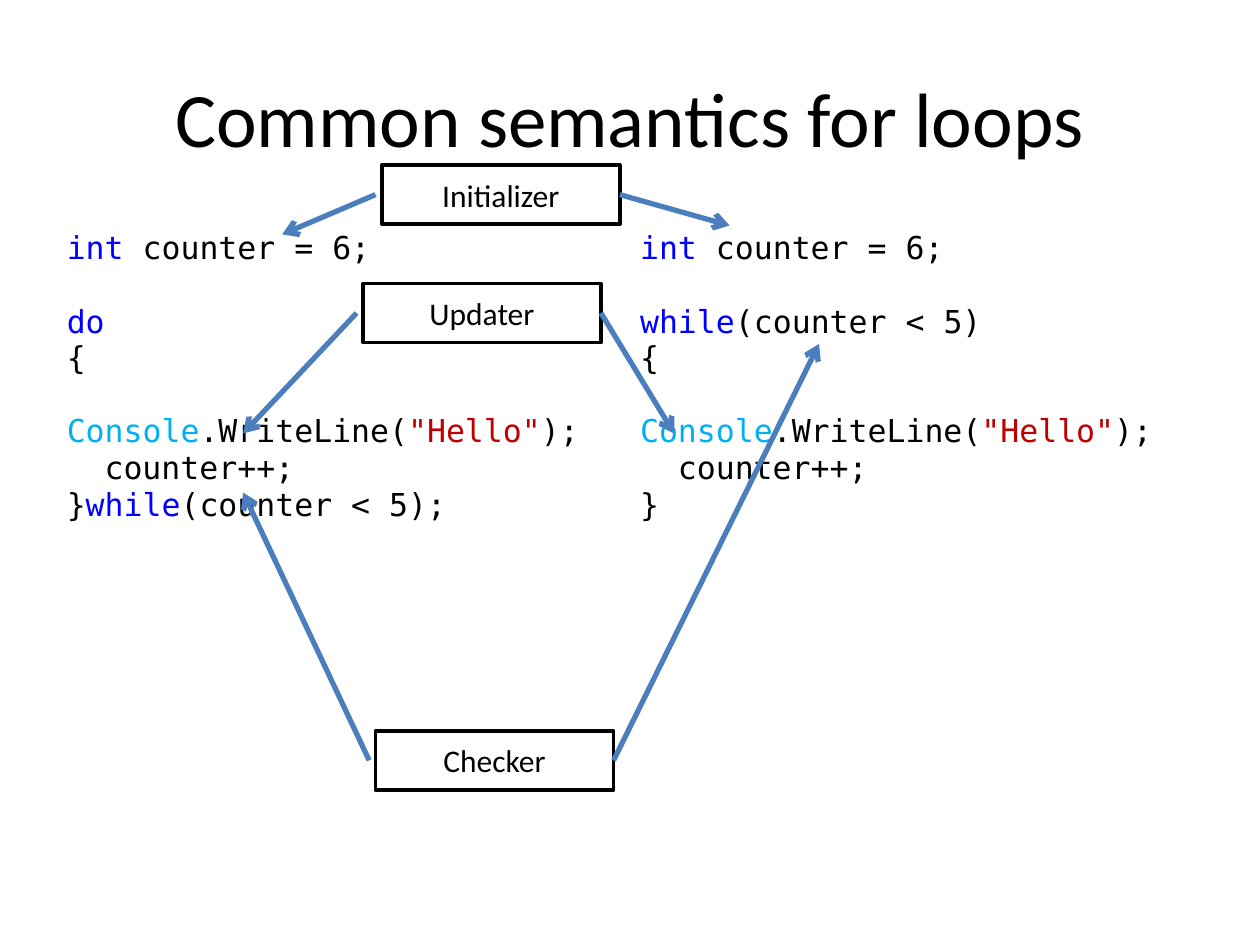
"""Builds a slide comparing the parts of do-while and while loops."""
from dataclasses import dataclass

from lxml import etree
from pptx import Presentation
from pptx.dml.color import RGBColor
from pptx.enum.shapes import MSO_CONNECTOR, MSO_SHAPE
from pptx.enum.text import MSO_ANCHOR, PP_ALIGN
from pptx.oxml.ns import qn
from pptx.util import Inches, Pt

RECTANGLE = MSO_SHAPE.RECTANGLE
STRAIGHT = MSO_CONNECTOR.STRAIGHT
CENTER = PP_ALIGN.CENTER
MIDDLE = MSO_ANCHOR.MIDDLE
RIGHT_SIDE = 3
TITLE_ONLY = 5

COLORS = {
    "plain": "000000",
    "keyword": "0000FF",
    "type": "00B0F0",
    "string": "C00000",
    "paper": "FFFFFF",
    "arrow": "4B7EBC",
}
BODY_FONT = "Calibri"
CODE_FONT = "DejaVu Sans Mono"
CODE_LINE = Pt(21)
CODE_INDENT = Inches(0.3)
LABEL_WIDTH, LABEL_HEIGHT = 1.89, 0.47
ARROW_GAP = 0.05


@dataclass(frozen=True)
class CodeLine:
    tokens: tuple[tuple[str, str], ...]
    gap_before: bool = False
    indented: bool = False


@dataclass(frozen=True)
class Label:
    name: str
    left: float
    top: float
    left_target: tuple[float, float]
    right_target: tuple[float, float]


DECLARATION = CodeLine((("int", "keyword"), (" counter = 6;", "plain")))
BODY = (
    CodeLine((("{", "plain"),)),
    CodeLine(
        (
            ("Console", "type"),
            (".WriteLine(", "plain"),
            ('"Hello"', "string"),
            (");", "plain"),
        ),
        gap_before=True,
    ),
    CodeLine((("counter++;", "plain"),), indented=True),
)
DO_LOOP = (
    DECLARATION,
    CodeLine((("do", "keyword"),), gap_before=True),
    *BODY,
    CodeLine((("}", "plain"), ("while", "keyword"), ("(counter < 5);", "plain"))),
)
WHILE_LOOP = (
    DECLARATION,
    CodeLine((("while", "keyword"), ("(counter < 5)", "plain")), gap_before=True),
    *BODY,
    CodeLine((("}", "plain"),)),
)
LABELS = (
    Label("Initializer", 3.03, 1.31, (2.24, 1.86), (5.79, 1.79)),
    Label("Checker", 2.98, 5.8, (1.93, 3.91), (6.5, 2.73)),
    Label("Updater", 2.88, 2.25, (1.93, 3.44), (5.35, 3.44)),
)


def color(name: str) -> RGBColor:
    return RGBColor.from_string(COLORS[name])


def format_font(font, family: str, size: float, color_name: str) -> None:
    font.name = family
    font.size = Pt(size)
    font.color.rgb = color(color_name)


def set_title(slide, text: str) -> None:
    title = slide.shapes.title
    title.left, title.top = Inches(0.5), Inches(0.3)
    title.width, title.height = Inches(9), Inches(1.25)
    title.text_frame.text = text
    title.text_frame.vertical_anchor = MIDDLE
    heading = title.text_frame.paragraphs[0]
    heading.alignment = CENTER
    format_font(heading.runs[0].font, BODY_FONT, 44, "plain")


def write_code(cell, lines: tuple[CodeLine, ...]) -> None:
    cell.fill.background()
    frame = cell.text_frame
    for number, line in enumerate(lines):
        paragraph = frame.add_paragraph() if number else frame.paragraphs[0]
        if line.gap_before:
            paragraph.space_before = CODE_LINE
        if line.indented:
            paragraph._p.get_or_add_pPr().set("marL", str(CODE_INDENT))
        for text, color_name in line.tokens:
            run = paragraph.add_run()
            run.text = text
            format_font(run.font, CODE_FONT, 18, color_name)


def add_code_table(slide) -> None:
    code = slide.shapes.add_table(
        1, 2, Inches(0.43), Inches(1.78), Inches(8.89), Inches(2.44)
    ).table
    code.first_row = False
    code.horz_banding = False
    code.columns[0].width = Inches(4.55)
    code.columns[1].width = Inches(4.34)
    for column, loop in enumerate((DO_LOOP, WHILE_LOOP)):
        write_code(code.cell(0, column), loop)


def add_arrow(slide, start: tuple[float, float], end: tuple[float, float]):
    arrow = slide.shapes.add_connector(
        STRAIGHT, *(Inches(value) for value in (*start, *end))
    )
    arrow.line.color.rgb = color("arrow")
    arrow.line.width = Pt(3)
    outline = arrow.line._get_or_add_ln()
    etree.SubElement(outline, qn("a:tailEnd"), type="arrow")
    etree.SubElement(arrow._element.spPr, qn("a:effectLst"))
    return arrow


def add_label(slide, label: Label) -> None:
    box = slide.shapes.add_shape(
        RECTANGLE,
        Inches(label.left),
        Inches(label.top),
        Inches(LABEL_WIDTH),
        Inches(LABEL_HEIGHT),
    )
    box.shadow.inherit = False
    box.fill.solid()
    box.fill.fore_color.rgb = color("paper")
    box.line.color.rgb = color("plain")
    box.line.width = Pt(2)
    box.text_frame.text = label.name
    box.text_frame.vertical_anchor = MIDDLE
    caption = box.text_frame.paragraphs[0]
    caption.alignment = CENTER
    format_font(caption.runs[0].font, BODY_FONT, 18, "plain")

    center_y = label.top + LABEL_HEIGHT / 2
    add_arrow(slide, (label.left - ARROW_GAP, center_y), label.left_target)
    right_arrow = add_arrow(
        slide, (label.left + LABEL_WIDTH, center_y), label.right_target
    )
    right_arrow.begin_connect(box, RIGHT_SIDE)


def main() -> None:
    deck = Presentation()
    deck.slide_width, deck.slide_height = Inches(10), Inches(7.5)
    slide = deck.slides.add_slide(deck.slide_layouts[TITLE_ONLY])
    set_title(slide, "Common semantics for loops")
    add_code_table(slide)
    for label in LABELS:
        add_label(slide, label)
    deck.save("out.pptx")


if __name__ == "__main__":
    main()
